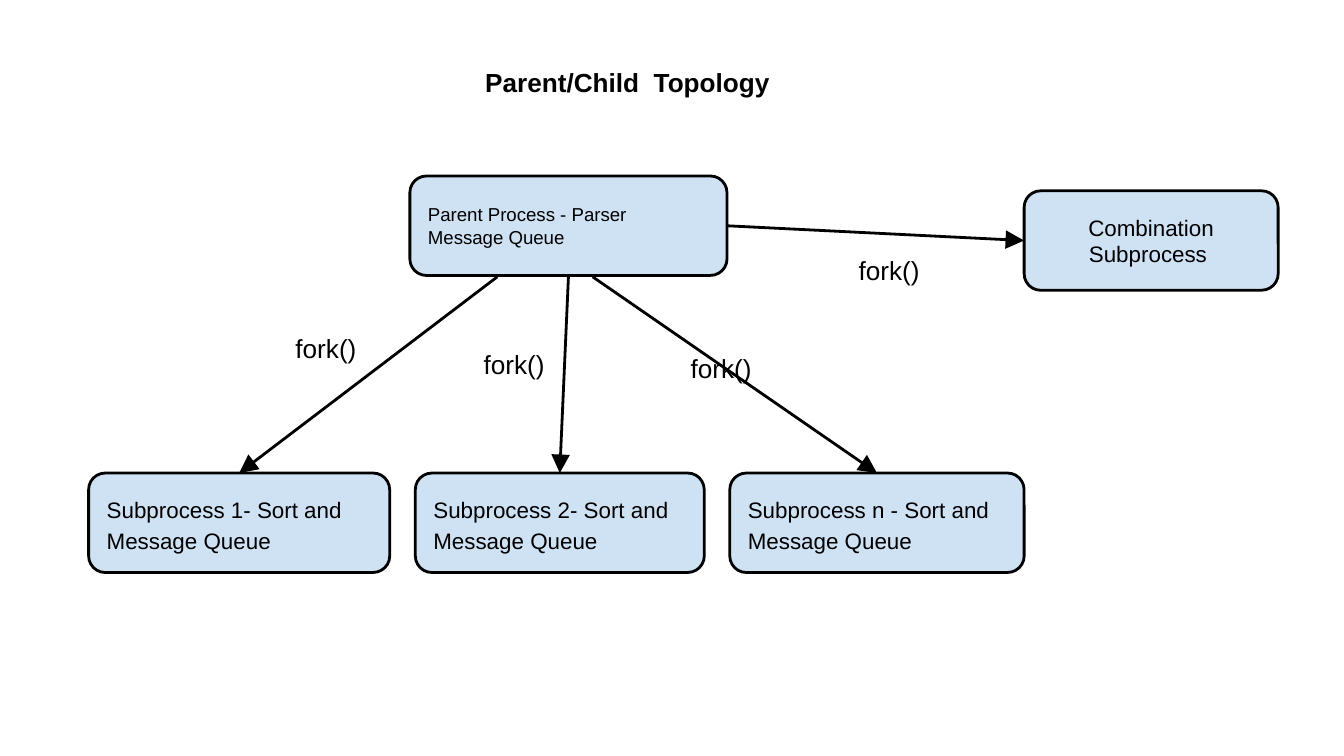
from dataclasses import dataclass

from lxml import etree
from pptx import Presentation
from pptx.dml.color import RGBColor
from pptx.enum.shapes import MSO_CONNECTOR, MSO_SHAPE
from pptx.enum.text import MSO_ANCHOR, PP_ALIGN
from pptx.oxml.ns import qn
from pptx.shapes.autoshape import Shape
from pptx.slide import Slide
from pptx.text.text import TextFrame
from pptx.util import Inches, Pt

ROUNDED_BOX = MSO_SHAPE.FLOWCHART_ALTERNATE_PROCESS
STRAIGHT = MSO_CONNECTOR.STRAIGHT
TOP, MIDDLE = MSO_ANCHOR.TOP, MSO_ANCHOR.MIDDLE
LEFT, CENTER = PP_ALIGN.LEFT, PP_ALIGN.CENTER

BLACK = RGBColor(0x00, 0x00, 0x00)
PALE_BLUE = RGBColor(0xCF, 0xE2, 0xF3)
FONT = "Arial"
LINE_WIDTH = Pt(1.5)
BOX_HEIGHT = 0.74
SUBPROCESS_TOP = 3.52
TOP_SITE, LEFT_SITE = 0, 1


@dataclass
class Process:
    text: str
    left: float
    top: float
    width: float
    size: int = 12
    align: PP_ALIGN = LEFT
    spacing: float = 1.0


@dataclass
class Fork:
    child: Process
    start: tuple[float, float]
    label: tuple[float, float]
    site: int = TOP_SITE


def subprocess(name: str, left: float, width: float) -> Process:
    return Process(f"Subprocess {name}- Sort and Message Queue", left, SUBPROCESS_TOP, width, spacing=1.15)


PARENT = Process("Parent Process - Parser\nMessage Queue", 3.05, 1.31, 2.36, size=10)
COMBINATION = Process("Combination Subprocess ", 7.62, 1.42, 1.89, align=CENTER)
FORKS = [
    Fork(subprocess("1", 0.66, 2.24), (3.7, 2.06), (2.1, 2.37)),
    Fork(subprocess("2", 3.09, 2.15), (4.23, 2.05), (3.5, 2.49)),
    Fork(subprocess("n ", 5.43, 2.19), (4.41, 2.06), (5.04, 2.52)),
    Fork(COMBINATION, (5.41, 1.68), (6.29, 1.79), LEFT_SITE),
]


def write_text(frame: TextFrame, text: str, size: int, align: PP_ALIGN = LEFT,
               anchor: MSO_ANCHOR = TOP, bold: bool = False, spacing: float = 1.0) -> None:
    frame.word_wrap = True
    frame.vertical_anchor = anchor
    frame.margin_left = frame.margin_right = Inches(0.1)
    frame.margin_top = frame.margin_bottom = Inches(0.1)
    frame.text = text
    for paragraph in frame.paragraphs:
        paragraph.alignment = align
        paragraph.line_spacing = spacing
        paragraph.font.name = FONT
        paragraph.font.size = Pt(size)
        paragraph.font.bold = bold
        paragraph.font.color.rgb = BLACK


def add_process(slide: Slide, process: Process) -> Shape:
    shape = slide.shapes.add_shape(ROUNDED_BOX, Inches(process.left), Inches(process.top),
                                   Inches(process.width), Inches(BOX_HEIGHT))
    shape.shadow.inherit = False
    shape.fill.solid()
    shape.fill.fore_color.rgb = PALE_BLUE
    shape.line.color.rgb = BLACK
    shape.line.width = LINE_WIDTH
    write_text(shape.text_frame, process.text, process.size, process.align, MIDDLE, spacing=process.spacing)
    return shape


def add_arrow(slide: Slide, start: tuple[float, float], target: Shape, site: int) -> None:
    x, y = (Inches(value) for value in start)
    connector = slide.shapes.add_connector(STRAIGHT, x, y, x, y)
    connector.end_connect(target, site)
    connector.line.color.rgb = BLACK
    connector.line.width = LINE_WIDTH
    etree.SubElement(connector.line._get_or_add_ln(), qn("a:tailEnd"), type="triangle", w="lg", len="lg")
    etree.SubElement(connector._element.spPr, qn("a:effectLst"))


def add_label(slide: Slide, position: tuple[float, float]) -> None:
    left, top = position
    label = slide.shapes.add_textbox(Inches(left), Inches(top), Inches(0.74), Inches(0.44))
    write_text(label.text_frame, "fork()", 14)


def main() -> None:
    presentation = Presentation()
    presentation.slide_width = Inches(10)
    presentation.slide_height = presentation.slide_width * 9 // 16
    slide = presentation.slides.add_slide(presentation.slide_layouts[6])

    add_process(slide, PARENT)
    for fork in FORKS:
        child = add_process(slide, fork.child)
        add_arrow(slide, fork.start, child, fork.site)
    for fork in FORKS:
        add_label(slide, fork.label)

    title = slide.shapes.add_textbox(Inches(3.29), Inches(0.44), Inches(2.76), Inches(0.34))
    write_text(title.text_frame, "Parent/Child  Topology", 14, CENTER, MIDDLE, bold=True)

    presentation.save("out.pptx")


main()
